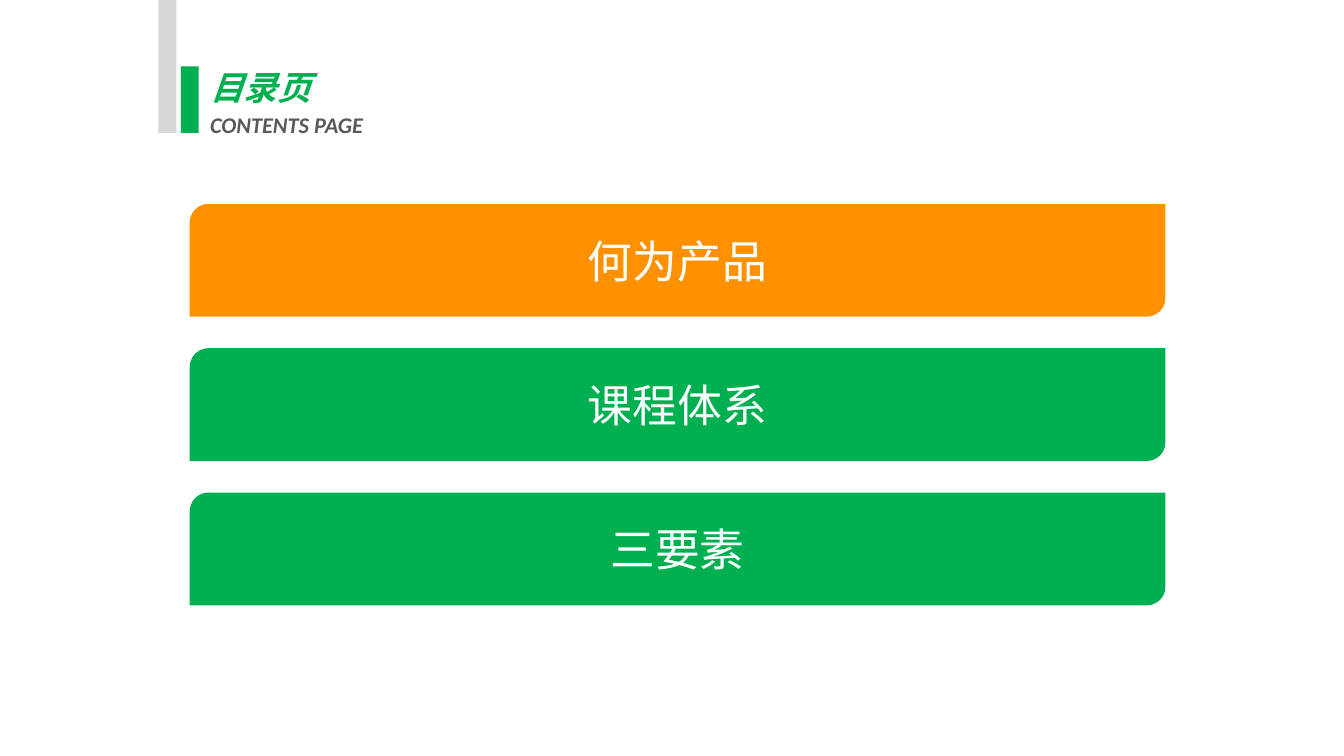
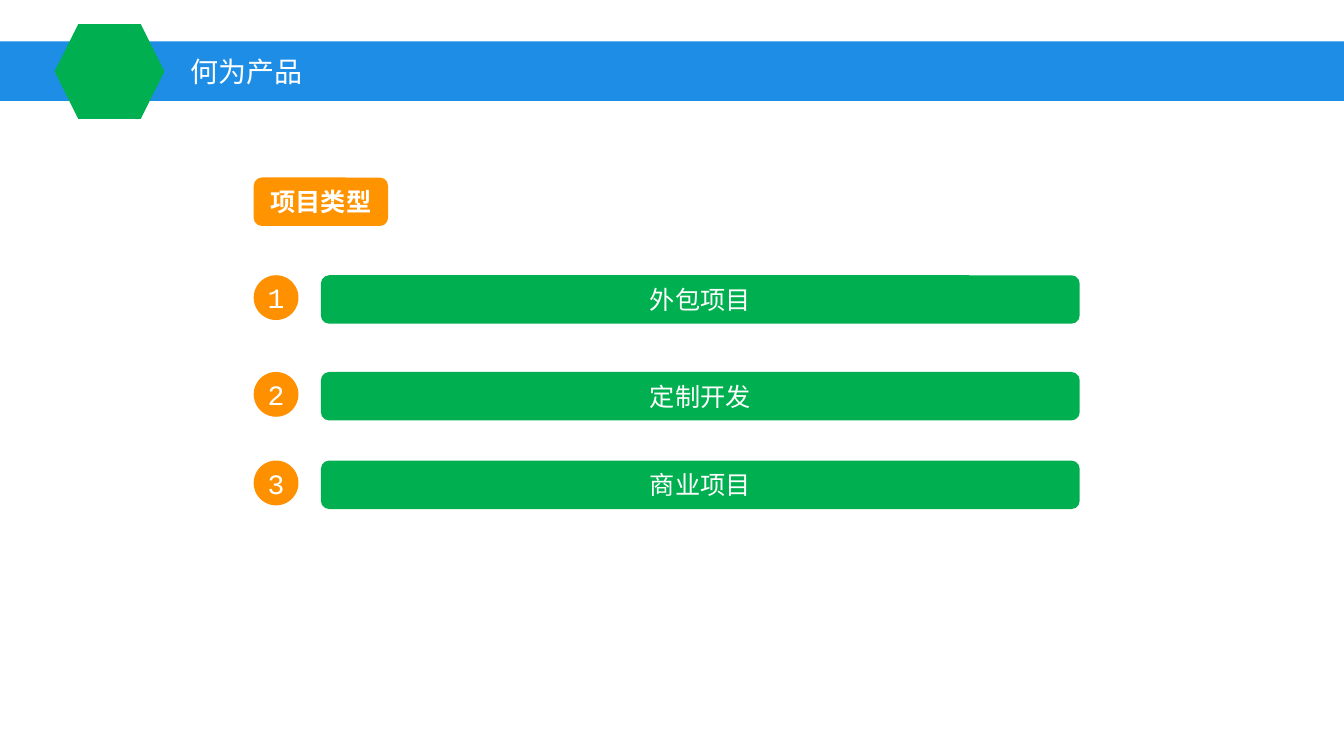
import pptx
import pptx.util
import pptx.dml.color
import pptx.enum.shapes
import pptx.enum.text
import pptx.oxml.ns
from lxml import etree

Pt = pptx.util.Pt
RGBColor = pptx.dml.color.RGBColor
SHAPE = pptx.enum.shapes.MSO_SHAPE
ALIGN = pptx.enum.text.PP_ALIGN
ANCHOR = pptx.enum.text.MSO_ANCHOR

GREEN = RGBColor(0x00, 0xB0, 0x50)
ORANGE = RGBColor(0xFF, 0x91, 0x00)
TAG_ORANGE = RGBColor(0xFF, 0x93, 0x00)
BLUE = RGBColor(0x1D, 0x8D, 0xE5)
LIGHT_GRAY = RGBColor(0xD8, 0xD8, 0xD8)
DARK_GRAY = RGBColor(0x59, 0x59, 0x59)
WHITE = RGBColor(0xFF, 0xFF, 0xFF)
CJK = "Noto Sans CJK SC"
LATIN = "Calibri"
MONO = "Courier New"

CONTENTS_TITLE = "目录页"
CONTENTS_SUBTITLE = "CONTENTS PAGE"
CHAPTERS = ["何为产品", "课程体系", "三要素"]
CURRENT = 0
TAG = "项目类型"
PROJECT_TYPES = [("外包项目", 196.6), ("定制开发", 265.7), ("商业项目", 329)]


def add_text(tf, text, size=18, font=CJK, color=WHITE, bold=False,
             italic=False, align=ALIGN.CENTER, spacing=1.0, new=False):
    p = tf.add_paragraph() if new else tf.paragraphs[0]
    p.alignment = align
    p.line_spacing = spacing
    r = p.add_run()
    r.text = text
    r.font.size = Pt(size)
    r.font.name = font
    r.font.bold = bold
    r.font.italic = italic
    r.font.color.rgb = color
    ea = etree.SubElement(r.font._element, pptx.oxml.ns.qn("a:ea"))
    ea.set("typeface", font)


def prepare_frame(tf, anchor, margin_x=0, margin_y=0):
    tf.word_wrap = True
    tf.vertical_anchor = anchor
    tf.margin_left = tf.margin_right = Pt(margin_x)
    tf.margin_top = tf.margin_bottom = Pt(margin_y)


def add_block(s, kind, x, y, w, h, fill, adj=None):
    sp = s.shapes.add_shape(kind, Pt(x), Pt(y), Pt(w), Pt(h))
    sp.shadow.inherit = False
    sp.fill.solid()
    sp.fill.fore_color.rgb = fill
    sp.line.fill.background()
    if adj is not None:
        sp.adjustments[0] = adj
    prepare_frame(sp.text_frame, ANCHOR.MIDDLE)
    return sp.text_frame


def add_box(s, x, y, w, h, anchor=ANCHOR.TOP):
    tf = s.shapes.add_textbox(Pt(x), Pt(y), Pt(w), Pt(h)).text_frame
    prepare_frame(tf, anchor, 7.2, 3.6)
    return tf


def add_title_band(s, title):
    add_block(s, SHAPE.RECTANGLE, 0, 29.5, 960, 42.5, BLUE)
    add_block(s, SHAPE.HEXAGON, 39, 17.2, 78.5, 67.8, GREEN, 0.25)
    tf = add_box(s, 128.9, 34.9, 402.5, 31.5, ANCHOR.MIDDLE)
    add_text(tf, title, size=20, align=ALIGN.LEFT)


def build_contents(s):
    add_block(s, SHAPE.RECTANGLE, 113.2, 0, 12.8, 95, LIGHT_GRAY)
    add_block(s, SHAPE.RECTANGLE, 129.2, 47.5, 12.8, 47.5, GREEN)
    tf = add_box(s, 143, 41, 157.7, 61)
    style = dict(bold=True, italic=True, align=ALIGN.LEFT, spacing=1.12)
    add_text(tf, CONTENTS_TITLE, size=24, color=GREEN, **style)
    add_text(tf, CONTENTS_SUBTITLE, size=16, font=LATIN, color=DARK_GRAY,
             new=True, **style)
    top, height, gap = 145.6, 80.6, 22.5
    for i, chapter in enumerate(CHAPTERS):
        fill = ORANGE if i == CURRENT else GREEN
        tf = add_block(s, SHAPE.ROUND_2_DIAG_RECTANGLE, 135.5,
                       top + i * (height + gap), 697, height, fill)
        add_text(tf, chapter, size=32)


def build_project_types(s):
    left, bar_left, bar_h, dot, corner = 181.2, 229.2, 34.6, 32, 0.17
    add_title_band(s, CHAPTERS[CURRENT])
    tf = add_block(s, SHAPE.ROUNDED_RECTANGLE, left, 126.8, 96, bar_h,
                   TAG_ORANGE, corner)
    add_text(tf, TAG, bold=True)
    for number, (name, top) in enumerate(PROJECT_TYPES, 1):
        tf = add_block(s, SHAPE.ROUNDED_RECTANGLE, bar_left, top, 542, bar_h,
                       GREEN, corner)
        add_text(tf, name)
        tf = add_block(s, SHAPE.OVAL, left, top, dot, dot, ORANGE)
        add_text(tf, str(number), size=20, font=MONO)


def main():
    prs = pptx.Presentation()
    prs.slide_width, prs.slide_height = Pt(960), Pt(540)
    for build in (build_contents, build_project_types):
        build(prs.slides.add_slide(prs.slide_layouts[6]))
    prs.save("out.pptx")


if __name__ == "__main__":
    main()
